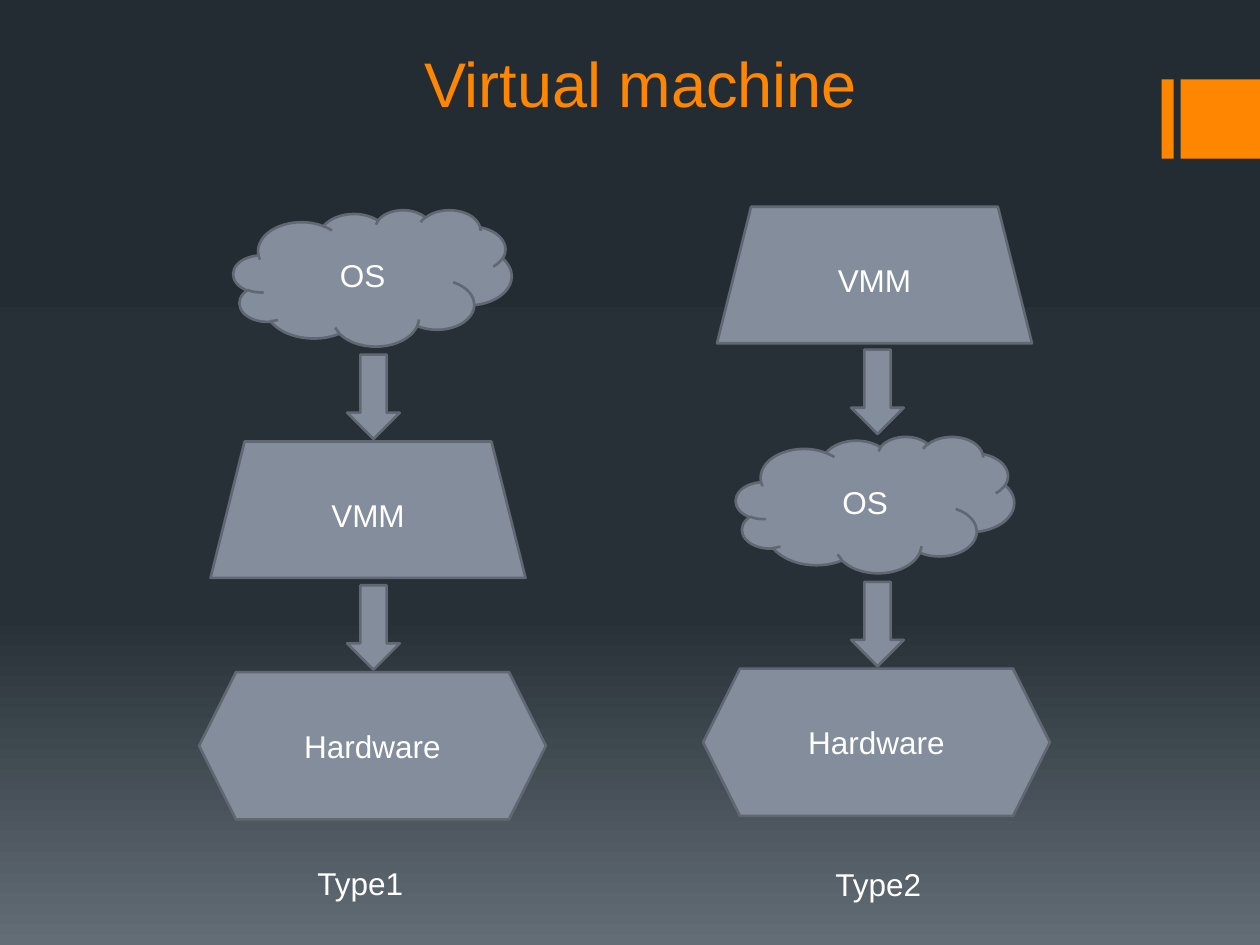
import copy
from dataclasses import dataclass

import pptx
import pptx.dml.color
import pptx.enum.shapes
import pptx.enum.text
import pptx.util

Cm, Pt = pptx.util.Cm, pptx.util.Pt
RGB = pptx.dml.color.RGBColor.from_string
KIND = pptx.enum.shapes.MSO_SHAPE
ALIGN = pptx.enum.text.PP_ALIGN
ANCHOR = pptx.enum.text.MSO_ANCHOR


@dataclass(frozen=True)
class Theme:
    font: str = "Arial"
    title_size: int = 36
    body_size: int = 18
    line_width: float = 1.5
    accent: str = "FF8600"
    text: str = "FFFFFF"
    fill: str = "838D9B"
    outline: str = "616873"
    background: tuple = ((0, "242C33"), (0.65, "273037"), (1, "636D76"))


theme = Theme()

# Content: lengths in centimetres; each layer is (name, centre, top)
TITLE = "Virtual machine"
COLUMNS = [
    {"caption": "Type1", "caption_at": (6.15, 17.3), "axis": 7.53,
     "layers": [("OS", 7.51, 4.23), ("VMM", 7.42, 8.9), ("Hardware", 7.51, 13.55)]},
    {"caption": "Type2", "caption_at": (16.59, 17.32), "axis": 17.69,
     "layers": [("VMM", 17.63, 4.17), ("OS", 17.64, 8.8), ("Hardware", 17.67, 13.48)]},
]
LAYER_SHAPES = {
    "OS": (KIND.CLOUD, 5.61, 2.75),
    "VMM": (KIND.TRAPEZOID, 6.35, 2.75),
    "Hardware": (KIND.HEXAGON, 6.99, 2.97),
}
ARROW_WIDTH, ARROW_HEIGHT, ARROW_GAP = 1.06, 1.7, 0.05
ACCENT_BARS = [(23.42, 0.24), (23.8, 1.6)]
ACCENT_TOP, ACCENT_HEIGHT = 1.6, 1.6

presentation = pptx.Presentation()
presentation.slide_width, presentation.slide_height = Cm(25.4), Cm(19.05)
slide = presentation.slides.add_slide(presentation.slide_layouts[6])


def apply(target, formats):
    for name, value in formats.items():
        setattr(target, name, value)


def write(shape, text, size, color, alignment, **frame_formats):
    apply(shape.text_frame, frame_formats)
    paragraph = shape.text_frame.paragraphs[0]
    paragraph.alignment = alignment
    run = paragraph.add_run()
    run.text = text
    apply(run.font, {"name": theme.font, "size": Pt(size)})
    run.font.color.rgb = RGB(color)


def add_shape(kind, box, fill, outline=None):
    shape = slide.shapes.add_shape(kind, *map(Cm, box))
    shape.shadow.inherit = False
    shape.fill.solid()
    shape.fill.fore_color.rgb = RGB(fill)
    if outline:
        shape.line.color.rgb = RGB(outline)
        shape.line.width = Pt(theme.line_width)
    else:
        shape.line.fill.background()
    return shape


# Background gradient, top to bottom
background = slide.background.fill
background.gradient()
background.gradient_angle = 270
first_stop = slide.background._cSld.find(".//" + pptx.oxml.ns.qn("a:gs"))
first_stop.addnext(copy.deepcopy(first_stop))
for stop, (position, color) in zip(background.gradient_stops, theme.background):
    stop.position = position
    stop.color.rgb = RGB(color)

# Accent bars and title
for left, width in ACCENT_BARS:
    add_shape(KIND.RECTANGLE, (left, ACCENT_TOP, width, ACCENT_HEIGHT), theme.accent)
title = slide.shapes.add_textbox(Cm(2.97), Cm(0), Cm(19.89), Cm(2.54))
write(title, TITLE, theme.title_size, theme.accent, ALIGN.CENTER,
      word_wrap=True, vertical_anchor=ANCHOR.BOTTOM)

# Layer stacks with an arrow above every layer but the first
for column in COLUMNS:
    for index, (name, center, top) in enumerate(column["layers"]):
        kind, width, height = LAYER_SHAPES[name]
        layer = add_shape(kind, (center - width / 2, top, width, height),
                          theme.fill, theme.outline)
        write(layer, name, theme.body_size, theme.text, ALIGN.CENTER,
              word_wrap=True, vertical_anchor=ANCHOR.MIDDLE)
        if index:
            arrow_box = (column["axis"] - ARROW_WIDTH / 2,
                         top - ARROW_GAP - ARROW_HEIGHT, ARROW_WIDTH, ARROW_HEIGHT)
            add_shape(KIND.DOWN_ARROW, arrow_box, theme.fill, theme.outline)
    caption = slide.shapes.add_textbox(*map(Cm, column["caption_at"]), Cm(2.26), Cm(1.02))
    write(caption, column["caption"], theme.body_size, theme.text, ALIGN.LEFT,
          word_wrap=False, auto_size=pptx.enum.text.MSO_AUTO_SIZE.SHAPE_TO_FIT_TEXT)

presentation.save("out.pptx")
